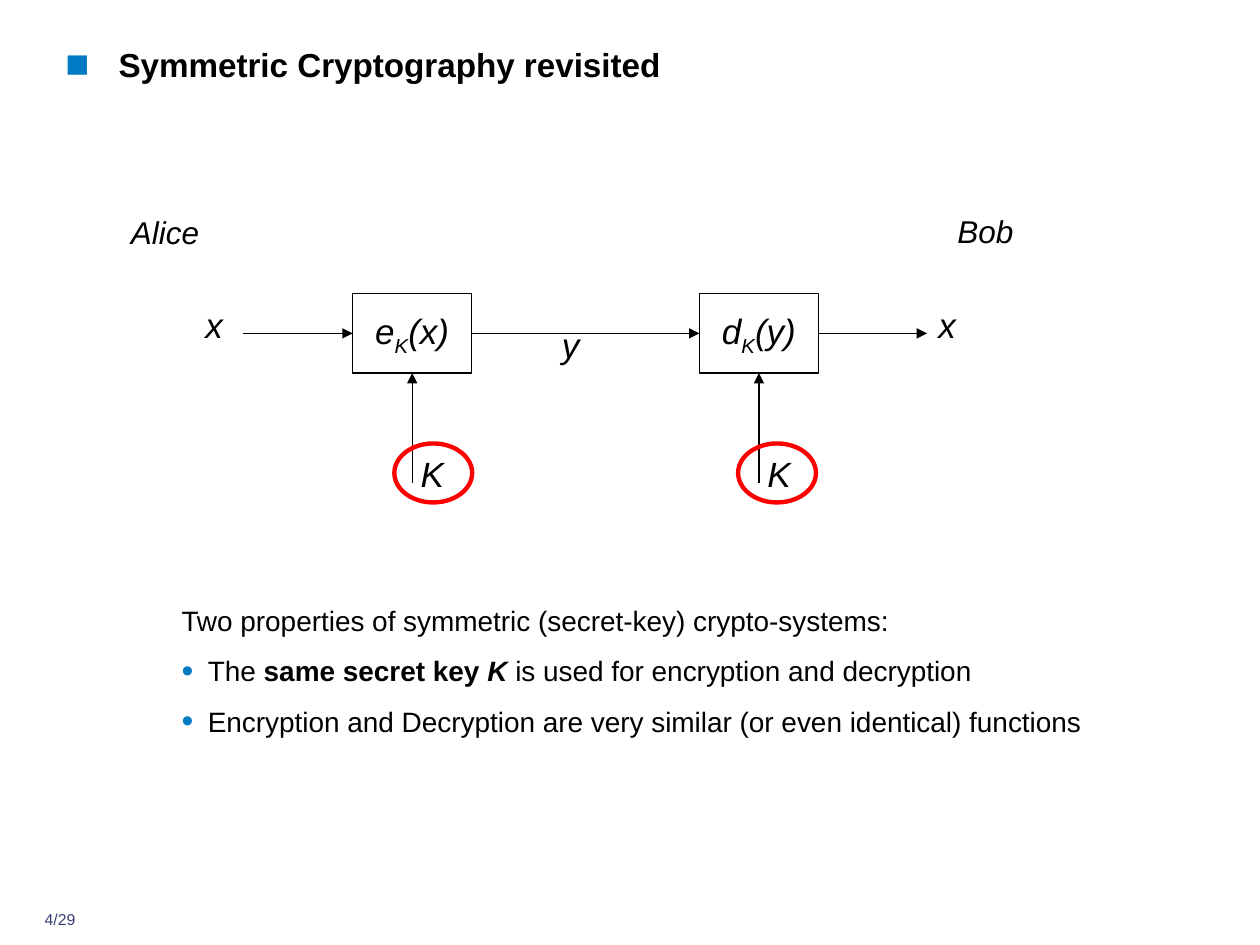
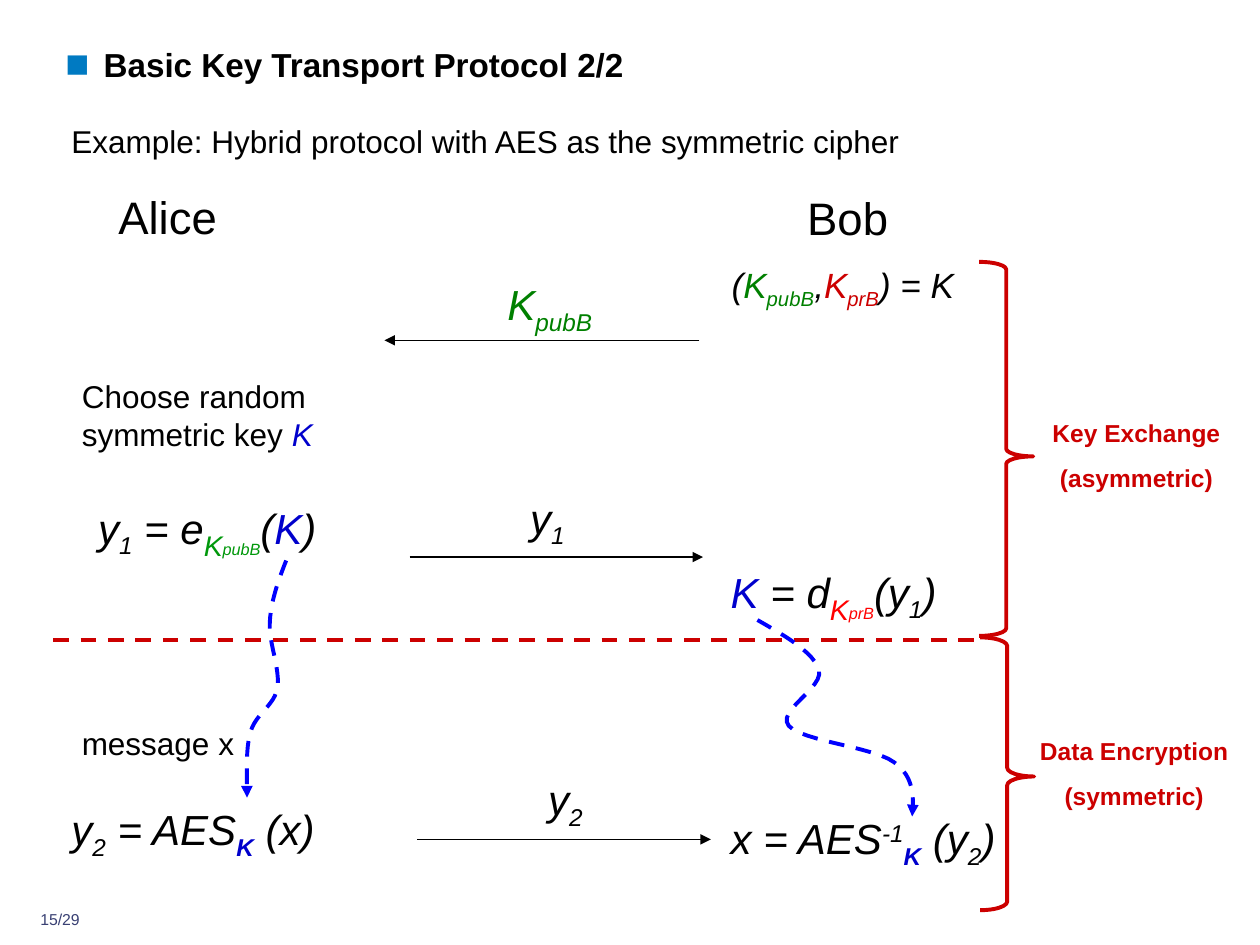
from lxml import etree
from pptx import Presentation
from pptx.dml.color import RGBColor
from pptx.enum.dml import MSO_LINE
from pptx.enum.shapes import MSO_CONNECTOR, MSO_SHAPE
from pptx.enum.text import MSO_ANCHOR, MSO_AUTO_SIZE, PP_ALIGN
from pptx.oxml.ns import qn
from pptx.util import Cm, Pt

BLACK = RGBColor(0x00, 0x00, 0x00)
NAVY = RGBColor(0x39, 0x40, 0x73)
BULLET_BLUE = RGBColor(0x00, 0x7A, 0xC2)
KEY_BLUE = RGBColor(0x00, 0x00, 0xCC)
PATH_BLUE = RGBColor(0x00, 0x00, 0xFF)
RED = RGBColor(0xFF, 0x00, 0x00)
DARK_RED = RGBColor(0xCC, 0x00, 0x00)
GREEN = RGBColor(0x00, 0x80, 0x00)
LIGHT_GREEN = RGBColor(0x00, 0x98, 0x0B)

LEFT, CENTER = PP_ALIGN.LEFT, PP_ALIGN.CENTER
TOP, MIDDLE = MSO_ANCHOR.TOP, MSO_ANCHOR.MIDDLE
RECTANGLE, OVAL, BRACE = MSO_SHAPE.RECTANGLE, MSO_SHAPE.OVAL, MSO_SHAPE.RIGHT_BRACE
STRAIGHT = MSO_CONNECTOR.STRAIGHT
DASH = MSO_LINE.DASH
BOTTOM_SIDE, LEFT_SIDE, RIGHT_SIDE = 2, 1, 3

FONT = "Arial"
TITLE_BOX = (1.32, 0.89, 17.96, 1.42)
PAGE_BOX = (0.51, 18.34, 1.4, 0.61)
PAGE_COUNT = 29
CURVE_STEPS = 12


def styled(text, **style):
    return text, style


def lowered(text, **style):
    return text, {"baseline": -25, **style}


def curve_points(start, segments):
    points = [start]
    for first, second, end in segments:
        begin = points[-1]
        for step in range(1, CURVE_STEPS + 1):
            t = step / CURVE_STEPS
            u = 1 - t
            points.append(tuple(
                u**3 * a + 3 * u * u * t * b + 3 * u * t * t * c + t**3 * d
                for a, b, c, d in zip(begin, first, second, end)))
    return points


class Deck:
    def __init__(self):
        self.presentation = Presentation()
        self.presentation.slide_width = Cm(25.4)
        self.presentation.slide_height = Cm(19.05)
        self.slide = None

    def start_slide(self, title, page, title_indent):
        self.slide = self.presentation.slides.add_slide(self.presentation.slide_layouts[5])
        shape = self.slide.shapes.title
        shape.left, shape.top, shape.width, shape.height = map(Cm, TITLE_BOX)
        self.frame(shape.text_frame, inset=False)
        paragraph = shape.text_frame.paragraphs[0]
        paragraph.alignment = LEFT
        self.bullet(paragraph, "■", title_indent)
        self.runs(paragraph, [title], size=19, bold=True)
        self.text(PAGE_BOX, [[f"{page}/{PAGE_COUNT}"]], size=9, color=NAVY,
                  align=CENTER, inset=False)

    def frame(self, frame, inset=True, wrap=True, anchor=TOP):
        frame.word_wrap = wrap
        frame.auto_size = MSO_AUTO_SIZE.NONE
        frame.vertical_anchor = anchor
        if not inset:
            frame.margin_left = frame.margin_right = 0
            frame.margin_top = frame.margin_bottom = 0

    def bullet(self, paragraph, symbol, indent):
        properties = paragraph._p.get_or_add_pPr()
        properties.set("marL", str(Cm(indent)))
        properties.set("indent", str(-Cm(indent)))
        color = etree.SubElement(properties, qn("a:buClr"))
        etree.SubElement(color, qn("a:srgbClr"), val=str(BULLET_BLUE))
        etree.SubElement(properties, qn("a:buSzPct"), val="120000")
        etree.SubElement(properties, qn("a:buFont"), typeface=FONT)
        etree.SubElement(properties, qn("a:buChar"), char=symbol)

    def runs(self, paragraph, pieces, size, color=BLACK, bold=False, italic=False):
        base = {"size": size, "color": color, "bold": bold, "italic": italic, "baseline": 0}
        for piece in pieces:
            text, changes = (piece, {}) if isinstance(piece, str) else piece
            style = {**base, **changes}
            run = paragraph.add_run()
            run.text = text
            run.font.name = FONT
            run.font.size = Pt(style["size"])
            run.font.bold = style["bold"]
            run.font.italic = style["italic"]
            run.font.color.rgb = style["color"]
            if style["baseline"]:
                run._r.get_or_add_rPr().set("baseline", str(style["baseline"] * 1000))

    def text(self, box, paragraphs, align=LEFT, inset=True, wrap=True, anchor=TOP,
             spacing=None, before=0, bullets_from=None, **style):
        shape = self.slide.shapes.add_textbox(*map(Cm, box))
        self.frame(shape.text_frame, inset, wrap, anchor)
        for index, pieces in enumerate(paragraphs):
            paragraph = shape.text_frame.paragraphs[0]
            if index:
                paragraph = shape.text_frame.add_paragraph()
                paragraph.space_before = Pt(before)
            paragraph.alignment = align
            if spacing:
                paragraph.line_spacing = spacing
            if bullets_from is not None and index >= bullets_from:
                self.bullet(paragraph, "•", 0.53)
            self.runs(paragraph, pieces, **style)

    def outline(self, shape, color, width, dash=None, arrow=False):
        shape.line.color.rgb = color
        shape.line.width = Pt(width)
        if dash:
            shape.line.dash_style = dash
        if arrow:
            etree.SubElement(shape.line._get_or_add_ln(), qn("a:tailEnd"), type="triangle")

    def shape(self, kind, box, color=BLACK, width=0.75):
        shape = self.slide.shapes.add_shape(kind, *map(Cm, box))
        shape.shadow.inherit = False
        shape.fill.background()
        self.outline(shape, color, width)
        return shape

    def function_box(self, box, pieces):
        shape = self.shape(RECTANGLE, box)
        self.frame(shape.text_frame, inset=False, anchor=MIDDLE)
        paragraph = shape.text_frame.paragraphs[0]
        paragraph.alignment = CENTER
        self.runs(paragraph, pieces, size=20, italic=True)
        return shape

    def brace(self, box, curve, tip):
        shape = self.shape(BRACE, box, DARK_RED, 2.25)
        shape.adjustments[0] = curve
        shape.adjustments[1] = tip

    def line(self, start, end, color=BLACK, width=0.75, dash=None, arrow=True,
             begin_at=None, end_at=None):
        connector = self.slide.shapes.add_connector(STRAIGHT, *map(Cm, start + end))
        etree.SubElement(connector._element.spPr, qn("a:effectLst"))
        self.outline(connector, color, width, dash, arrow)
        if begin_at:
            connector.begin_connect(*begin_at)
        if end_at:
            connector.end_connect(*end_at)

    def key_path(self, start, segments):
        points = [(Cm(x), Cm(y)) for x, y in curve_points(start, segments)]
        builder = self.slide.shapes.build_freeform(*points[0])
        builder.add_line_segments(points[1:], close=False)
        shape = builder.convert_to_shape()
        shape.shadow.inherit = False
        shape.fill.background()
        self.outline(shape, PATH_BLUE, 2.25, DASH, arrow=True)


def symmetric_slide(deck):
    deck.start_slide("Symmetric Cryptography revisited", 4, 1.07)
    deck.text((3.66, 11.99, 21.34, 2.9), [
        ["Two properties of symmetric (secret-key) crypto-systems:"],
        ["The ", styled("same secret key ", bold=True), styled("K ", bold=True, italic=True),
         "is used for encryption and decryption"],
        ["Encryption and Decryption are very similar (or even identical) functions"],
    ], size=16, inset=False, spacing=1.25, before=5, bullets_from=1)

    box_top, box_width, box_height = 5.92, 2.4, 1.6
    flow_y = box_top + box_height / 2
    encrypt_left, decrypt_left = 7.11, 14.1
    encrypt = deck.function_box((encrypt_left, box_top, box_width, box_height),
                                ["e", lowered("K"), "(x)"])
    decrypt = deck.function_box((decrypt_left, box_top, box_width, box_height),
                                ["d", lowered("K"), "(y)"])
    deck.line((4.9, flow_y), (encrypt_left, flow_y), end_at=(encrypt, LEFT_SIDE))
    deck.line((encrypt_left + box_width, flow_y), (decrypt_left, flow_y),
              begin_at=(encrypt, RIGHT_SIDE), end_at=(decrypt, LEFT_SIDE))
    deck.line((decrypt_left + box_width, flow_y), (18.69, flow_y),
              begin_at=(decrypt, RIGHT_SIDE))

    labels = [("x", 3.91, 6.12), ("y", 11.1, 6.53), ("x", 18.69, 6.12)]
    for box, left, ring_left in ((encrypt, encrypt_left, 7.95), (decrypt, decrypt_left, 14.88)):
        key_x = left + box_width / 2
        deck.line((key_x, 9.73), (key_x, box_top + box_height), end_at=(box, BOTTOM_SIDE))
        deck.shape(OVAL, (ring_left, 8.94, 1.57, 1.19), RED, 2.5)
        labels.append(("K", key_x, 9.12))
    for label, left, top in labels:
        deck.text((left, top, 0.81, 0.84), [[label]], size=20, italic=True,
                  align=CENTER, inset=False)
    deck.text((2.39, 4.17, 2.39, 1.02), [["Alice"]], size=18, italic=True)
    deck.text((19.05, 4.14, 3.18, 1.02), [["Bob"]], size=18, italic=True)


def transport_slide(deck):
    deck.start_slide("Basic Key Transport Protocol 2/2", 15, 0.77)
    deck.text((1.19, 2.34, 20.45, 1.02),
              [["Example: Hybrid protocol with AES as the symmetric cipher"]], size=18)
    for name, box in (("Alice", (0.84, 3.94, 5.08, 1.02)), ("Bob", (13.28, 3.96, 7.62, 0.99))):
        deck.text(box, [[name]], size=26, align=CENTER, inset=False, spacing=0.9)
    deck.text((1.4, 7.47, 5.79, 1.78),
              [["Choose random symmetric key ", styled("K", color=KEY_BLUE, italic=True)]], size=18)
    deck.text((1.4, 14.48, 4.37, 1.02), [["message x"]], size=18)

    deck.line((1.07, 12.9), (19.71, 12.9), DARK_RED, 2.25, DASH, arrow=False)
    for start_x, end_x, y in ((14.1, 7.75, 6.86), (8.26, 14.17, 11.23), (8.41, 14.33, 16.92)):
        deck.line((start_x, y), (end_x, y))

    deck.text((14.5, 5.18, 6.15, 1.22), [[
        "(", styled("K", color=GREEN), lowered("pubB", color=GREEN), ",",
        styled("K", color=DARK_RED), lowered("prB", color=DARK_RED), ") = K",
    ]], size=20, italic=True)
    blue_key = styled("K", color=KEY_BLUE)
    blue_index = lowered("K", color=KEY_BLUE, bold=True)
    formulas = [
        ((9.98, 5.49, 2.54, 1.42), [styled("K", color=GREEN), lowered("pubB", color=GREEN)]),
        ((10.44, 9.8, 2.29, 1.42), ["y", lowered("1")]),
        ((10.8, 15.47, 2.82, 1.42), ["y", lowered("2")]),
        ((1.19, 16.08, 5.97, 1.42), ["y", lowered("2"), " = AES", blue_index, " (x)"]),
        ((14.48, 16.26, 7.11, 1.42),
         ["x = AES", styled("-1", baseline=30), blue_index, " (y", lowered("2"), ")"]),
    ]
    for box, pieces in formulas:
        deck.text(box, [pieces], size=24, italic=True)
    key_formulas = [
        ((1.73, 9.86, 4.9, 1.6),
         ["y", lowered("1"), " = e", lowered("K", size=28, color=LIGHT_GREEN),
          styled("pubB", size=16, color=LIGHT_GREEN, baseline=-40), "(", blue_key, ")"]),
        ((14.48, 11.15, 4.65, 1.6),
         [blue_key, " = d", lowered("K", size=28, color=RED),
          styled("prB", size=16, color=RED, baseline=-40), "(y", lowered("1"), ")"]),
    ]
    for box, pieces in key_formulas:
        deck.text(box, [pieces], size=24, italic=True, align=CENTER, wrap=False, anchor=MIDDLE)

    deck.key_path((5.77, 11.3), [
        ((5.61, 11.71), (5.46, 12.12), (5.44, 12.55)),
        ((5.41, 12.95), (5.66, 13.49), (5.59, 13.87)),
        ((5.54, 14.22), (5.16, 14.38), (5.05, 14.76)),
        ((4.95, 15.11), (4.98, 15.6), (4.98, 16.08)),
    ])
    deck.key_path((15.27, 12.5), [
        ((15.85, 12.83), (16.41, 13.16), (16.51, 13.51)),
        ((16.61, 13.87), (15.65, 14.33), (15.9, 14.63)),
        ((16.15, 14.94), (17.63, 15.06), (18.03, 15.37)),
        ((18.44, 15.67), (18.42, 16.08), (18.39, 16.46)),
    ])

    deck.brace((19.74, 5.28, 1.09, 7.54), 0.14, 0.52)
    deck.brace((19.76, 12.85, 1.09, 5.5), 0.16, 0.51)
    phases = [
        ((20.65, 8.31, 4.52, 1.75), "Key Exchange", "(asymmetric)"),
        ((20.4, 14.71, 4.93, 1.75), "Data Encryption", "(symmetric)"),
    ]
    for box, phase, kind in phases:
        deck.text(box, [[phase], [kind]], size=14, color=DARK_RED, bold=True,
                  align=CENTER, before=8.8)


def main():
    deck = Deck()
    symmetric_slide(deck)
    transport_slide(deck)
    deck.presentation.save("out.pptx")


if __name__ == "__main__":
    main()
